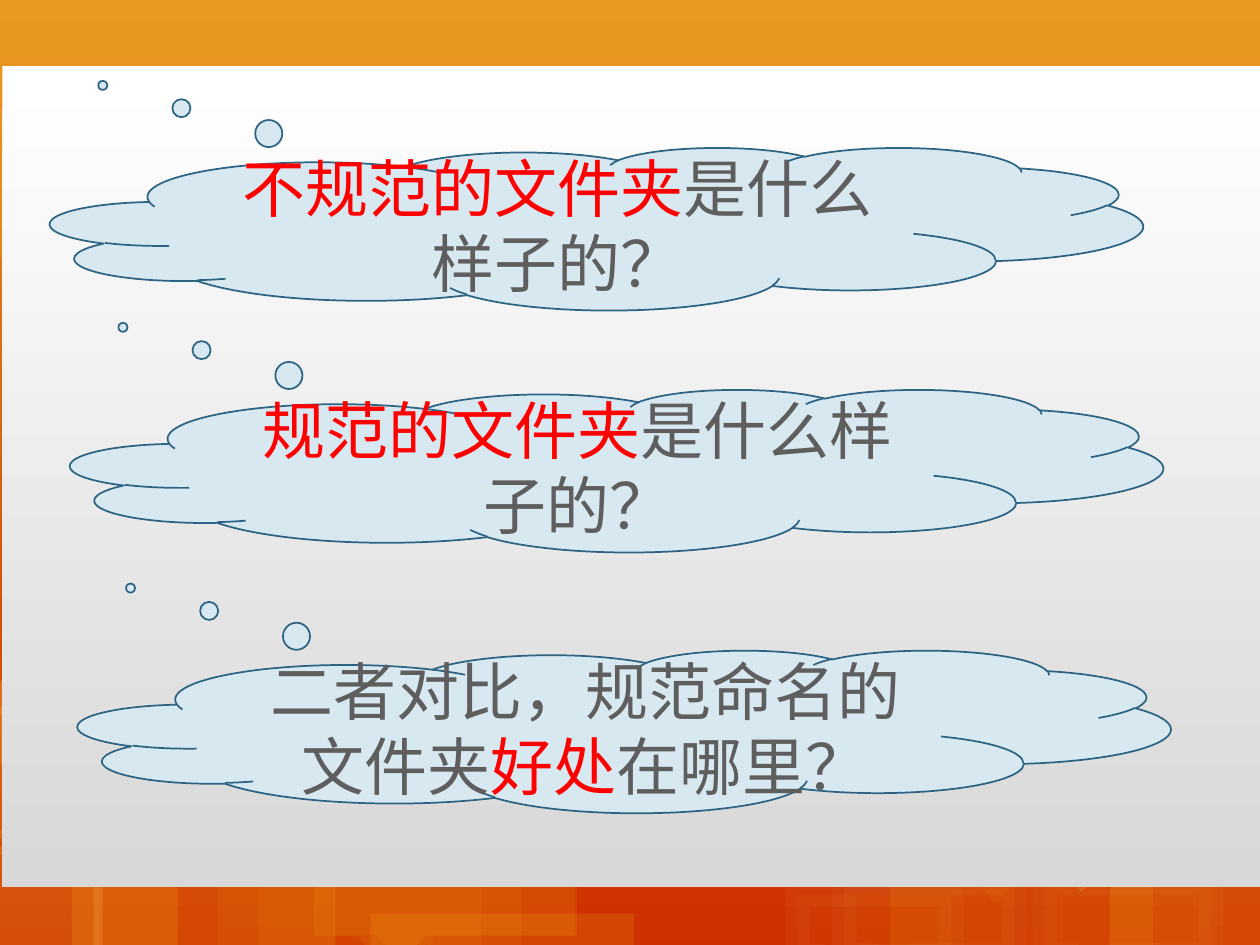
"""Builds a slide with three thought clouds about naming folders properly."""
from dataclasses import dataclass

from lxml import etree
from pptx import Presentation
from pptx.dml.color import RGBColor
from pptx.enum.shapes import MSO_SHAPE
from pptx.enum.text import MSO_ANCHOR, PP_ALIGN
from pptx.oxml.ns import qn
from pptx.util import Inches, Pt

CLOUD = MSO_SHAPE.CLOUD_CALLOUT
TILE = MSO_SHAPE.RECTANGULAR_CALLOUT
RECTANGLE = MSO_SHAPE.RECTANGLE
MIDDLE = MSO_ANCHOR.MIDDLE
CENTER = PP_ALIGN.CENTER


@dataclass(frozen=True)
class Theme:
    backdrop: tuple = ("E29121", "CE3000")
    panel: tuple = ("FFFFFF", "D8D8D8")
    gold: str = "FDC51B"
    pale: str = "FEEAAC"
    cream: str = "FFE181"
    cloud: str = "D8E8F1"
    outline: str = "2D6483"
    text: str = "5E5E5E"
    accent: str = "FF0000"
    font: str = "Calibri"
    size: int = 36


THEME = Theme()
WIDTH, HEIGHT = 10, 7.5
PANEL = (0.02, 0.52, 10, 6.52)
CLOUD_SIZE = (8.67, 1.29)
CLOUD_TAIL = (-0.452, -0.882)
TILE_TAIL = (-0.2, 0.65)

QUESTIONS = [
    ((0.4, 1.17), [("不规范的文件夹", THEME.accent), ("是什么样子的？", THEME.text)]),
    ((0.56, 3.09), [("规范的文件夹", THEME.accent), ("是什么样子的？", THEME.text)]),
    ((0.62, 5.16), [("二者对比，规范命名的文件夹", THEME.text),
                    ("好处", THEME.accent), ("在哪里？", THEME.text)]),
]

GOLD_TILES = [
    ((2.65, 5.33, 1.91, 2.09), 7, (-0.14, 0.64)),
    ((2.49, 5.34, 2.09, 2.09), 10, TILE_TAIL),
    ((0.57, 6.27, 2.09, 1.31), 16, TILE_TAIL),
    ((-0.04, -0.05, 10.04, 2.09), 20, (-0.2, 0.45)),
    ((2.94, 7.25, 2.09, 2.09), 14, TILE_TAIL),
    ((8.81, 5.62, 1.24, 1.92), 16, (0.05, 0.6)),
    ((7.28, 4.77, 2.09, 2.09), 5, TILE_TAIL),
    ((-0.07, 5.41, 1.48, 2.09), 16, (0, 0.61)),
    ((2.05, 6.92, 2.09, 2.09), 7, TILE_TAIL),
    ((7.06, 5.62, 2.09, 2.09), 10, TILE_TAIL),
    ((1.73, 5.97, 2.09, 1.61), 7, TILE_TAIL),
]

EDGED_TILES = [
    ((6.33, 7.1, 1.22, 0.49), THEME.gold, (THEME.pale, 14, 3)),
    ((6.7, 7.01, 1.35, 0.57), THEME.gold, (THEME.pale, 14, 3)),
    ((8.29, 7.01, 1.32, 0.57), THEME.gold, (THEME.pale, 14, 3)),
    ((0.01, 5.4, 0.67, 0.67), THEME.cream, (THEME.cream, 1, 14)),
    ((-0.07, 6.75, 0.85, 0.82), THEME.cream, (THEME.cream, 5, 14)),
    ((-0.07, 5.64, 0.61, 0.98), THEME.cream, (THEME.cream, 5, 14)),
    ((8.34, 6.14, 0.81, 0.81), THEME.cream, (THEME.cream, 1, 14)),
]


def paint(fill, color, opacity=100):
    fill.solid()
    fill.fore_color.rgb = RGBColor.from_string(color)
    if opacity < 100:
        srgb = fill._xPr.find(qn("a:solidFill")).find(qn("a:srgbClr"))
        etree.SubElement(srgb, qn("a:alpha")).set("val", str(opacity * 1000))


def paint_down(fill, colors):
    fill.gradient()
    fill.gradient_angle = 270
    for stop, color in zip(fill.gradient_stops, colors):
        stop.color.rgb = RGBColor.from_string(color)


def add_part(slide, preset, box, tail=(), edge=None):
    part = slide.shapes.add_shape(preset, *map(Inches, box))
    part.shadow.inherit = False
    for index, value in enumerate(tail):
        part.adjustments[index] = value
    if edge:
        color, width, opacity = edge
        part.line.width = Pt(width)
        paint(part.line.fill, color, opacity)
    else:
        part.line.fill.background()
    return part


def add_backdrop(slide):
    paint_down(slide.background.fill, THEME.backdrop)
    for box, opacity, tail in GOLD_TILES:
        paint(add_part(slide, TILE, box, tail).fill, THEME.gold, opacity)
    for box, color, edge in EDGED_TILES:
        paint(add_part(slide, TILE, box, TILE_TAIL, edge).fill, color, 5)
    paint_down(add_part(slide, RECTANGLE, PANEL).fill, THEME.panel)


def add_question(slide, corner, phrases):
    cloud = add_part(slide, CLOUD, corner + CLOUD_SIZE, CLOUD_TAIL, (THEME.outline, 1, 100))
    paint(cloud.fill, THEME.cloud)
    frame = cloud.text_frame
    frame.word_wrap = True
    frame.vertical_anchor = MIDDLE
    question = frame.paragraphs[0]
    question.alignment = CENTER
    for words, color in phrases:
        phrase = question.add_run()
        phrase.text = words
        phrase.font.name = THEME.font
        phrase.font.size = Pt(THEME.size)
        phrase.font.color.rgb = RGBColor.from_string(color)


def main():
    deck = Presentation()
    deck.slide_width, deck.slide_height = Inches(WIDTH), Inches(HEIGHT)
    slide = deck.slides.add_slide(deck.slide_layouts[6])
    add_backdrop(slide)
    for corner, phrases in QUESTIONS:
        add_question(slide, corner, phrases)
    deck.save("out.pptx")


if __name__ == "__main__":
    main()
